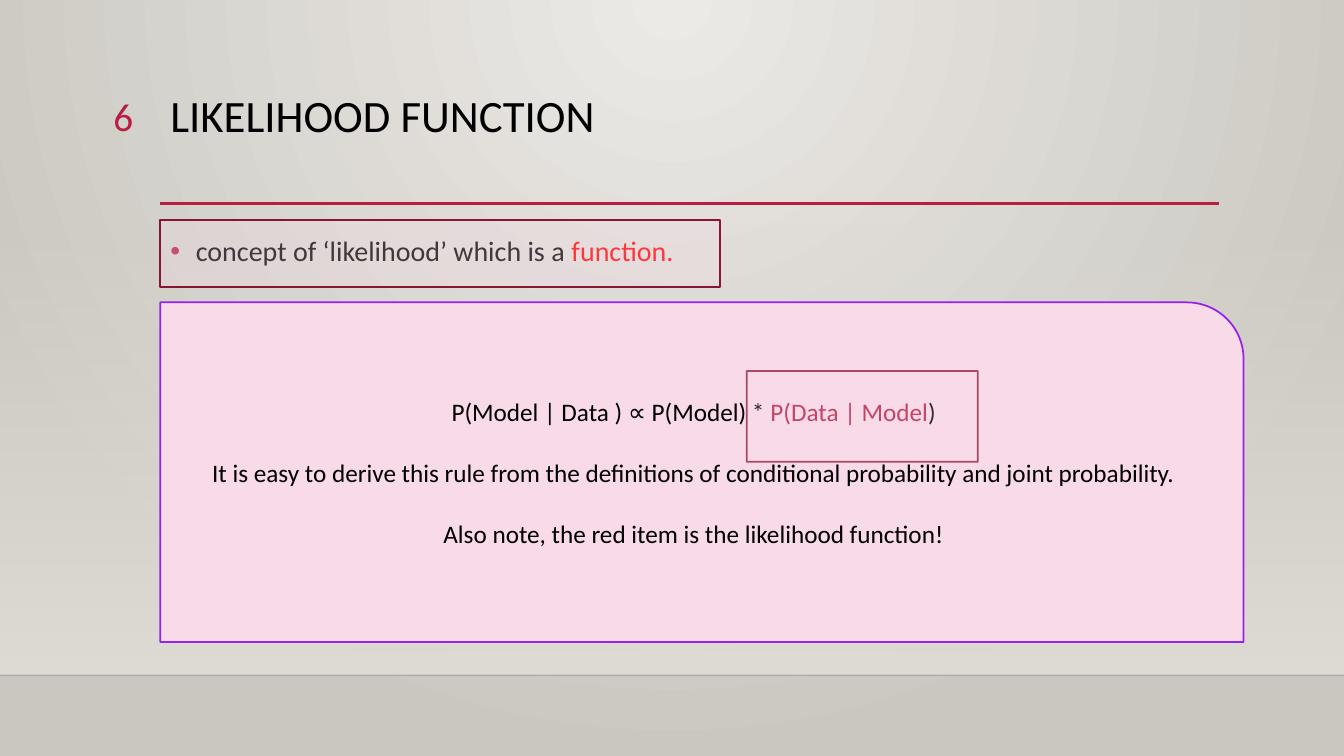
from lxml import etree
from pptx import Presentation
from pptx.dml.color import RGBColor
from pptx.enum.shapes import MSO_CONNECTOR, MSO_SHAPE
from pptx.enum.text import MSO_ANCHOR, MSO_AUTO_SIZE, PP_ALIGN
from pptx.oxml.ns import qn
from pptx.util import Cm, Pt

RECT, ROUND = MSO_SHAPE.RECTANGLE, MSO_SHAPE.ROUND_1_RECTANGLE
TOP, MIDDLE = MSO_ANCHOR.TOP, MSO_ANCHOR.MIDDLE
LEFT, CENTER, RIGHT = PP_ALIGN.LEFT, PP_ALIGN.CENTER, PP_ALIGN.RIGHT

COLORS = {
    "black": "000000", "crimson": "B71E42", "red": "FF0000",
    "pink": "F8DAE8", "wine": "871631", "violet": "9622E7",
    "edge": "000001", "sand": "DFDBD5", "glow": "ECEAE7", "stone": "CAC7C1",
}

TITLE = [[("LIKELIHOOD FUNCTION", "black")]]
NUMBER = [[("6", "crimson")]]
CONCEPT = [[("concept of ‘likelihood’ which is a ", "black"), ("function.", "red")]]
RULE = [
    [("P(Model | Data ) ∝ P(Model) * ", "black"), ("P(Data | Model", "crimson"), (")", "black")],
    [("It is easy to derive this rule from the definitions of conditional "
      "probability and joint probability.", "black")],
    [("Also note, the red item is the likelihood function!", "black")],
]

WIDTH, HEIGHT = 33.87, 19.05
MARGIN, TEXT_WIDTH = 4.04, 26.67
FLOOR = 17.02
BAND_TOP = 5.61


def rgb(name):
    return RGBColor.from_string(COLORS[name])


def set_opacity(color_parent, percent):
    for color in color_parent.iter(qn("a:srgbClr")):
        etree.SubElement(color, qn("a:alpha"), val=str(percent * 1000))


def fill_gradient(fill, names):
    fill.gradient()
    for stop, name in zip(fill.gradient_stops, names):
        stop.color.rgb = rgb(name)


def place(shape, box):
    for side, length in zip(("left", "top", "width", "height"), box):
        setattr(shape, side, Cm(length))


def write(shape, paragraphs, size, anchor=TOP, **formats):
    frame = shape.text_frame
    for key, value in {"word_wrap": True, "auto_size": MSO_AUTO_SIZE.NONE,
                       "vertical_anchor": anchor}.items():
        setattr(frame, key, value)
    for index, spans in enumerate(paragraphs):
        para = frame.add_paragraph() if index else frame.paragraphs[0]
        for key, value in formats.items():
            setattr(para, key, value)
        if index:
            para.space_before = Pt(22)
        for text, color in spans:
            span = para.add_run()
            span.text = text
            span.font.name = "Calibri"
            span.font.size = Pt(size)
            span.font.color.rgb = rgb(color)


def add_line(page, left, right, y, color, width, opacity=100):
    line = page.shapes.add_connector(MSO_CONNECTOR.STRAIGHT, Cm(left), Cm(y), Cm(right), Cm(y))
    line.line.color.rgb = rgb(color)
    line.line.width = Pt(width)
    set_opacity(line.element.spPr, opacity)
    etree.SubElement(line.element.spPr, qn("a:effectLst"))


def add_box(page, kind, box, line, opacity=100, line_opacity=100):
    shape = page.shapes.add_shape(kind, *map(Cm, box))
    shape.shadow.inherit = False
    shape.fill.solid()
    shape.fill.fore_color.rgb = rgb("pink")
    set_opacity(shape.element.spPr, opacity)
    shape.line.color.rgb = rgb(line)
    shape.line.width = Pt(1.25)
    set_opacity(shape.element.spPr.find(qn("a:ln")), line_opacity)
    return shape


def add_background(page):
    fill_gradient(page.background.fill, ("glow", "stone"))
    linear = page.element.xpath("./p:cSld/p:bg//a:lin")[0]
    gradient = linear.getparent()
    gradient.remove(linear)
    circle = etree.SubElement(gradient, qn("a:path"), path="circle")
    etree.SubElement(circle, qn("a:fillToRect"), l="43000", t="0", r="43000", b="100000")

    band = page.shapes.add_shape(RECT, 0, Cm(BAND_TOP), Cm(WIDTH), Cm(FLOOR - BAND_TOP))
    band.shadow.inherit = False
    band.line.fill.background()
    fill_gradient(band.fill, ("sand", "sand"))
    band.fill.gradient_angle = 270
    first = next(band.element.spPr.iter(qn("a:gs")))
    set_opacity(first, 0)
    tree = band.element.getparent()
    tree.remove(band.element)
    tree.insert(2, band.element)


def add_bullet(para):
    properties = para._p.get_or_add_pPr()
    properties.set("marL", str(Cm(0.64)))
    properties.set("indent", str(-Cm(0.64)))
    color = etree.SubElement(properties, qn("a:buClr"))
    etree.SubElement(color, qn("a:srgbClr"), val=COLORS["crimson"])
    etree.SubElement(properties, qn("a:buFont"), typeface="Arial")
    etree.SubElement(properties, qn("a:buChar"), char="•")


def main():
    deck = Presentation()
    deck.slide_width, deck.slide_height = Cm(WIDTH), Cm(HEIGHT)
    page = deck.slides.add_slide(deck.slide_layouts[1])
    title, body = page.placeholders

    add_background(page)
    add_line(page, 0, WIDTH, FLOOR, "edge", 1, 20)
    add_line(page, MARGIN, MARGIN + TEXT_WIDTH, 5.13, "crimson", 2.5)

    place(title, (MARGIN, 2.24, TEXT_WIDTH, 2.92))
    write(title, TITLE, 32, alignment=LEFT, line_spacing=0.9)
    place(body, (MARGIN, 5.59, TEXT_WIDTH, 9.58))
    write(body, CONCEPT, 20, alignment=LEFT, line_spacing=1.2, space_before=Pt(10))
    add_bullet(body.text_frame.paragraphs[0])

    number = page.shapes.add_textbox(*map(Cm, (1.35, 2.21, 2.26, 1.4)))
    write(number, NUMBER, 28, alignment=RIGHT)

    add_box(page, RECT, (MARGIN, 5.54, 14.1, 1.7), "wine", 26)
    panel = add_box(page, ROUND, (MARGIN, 7.62, 27.3, 8.56), "violet")
    write(panel, RULE, 18, MIDDLE, alignment=CENTER)
    add_box(page, RECT, (18.82, 9.35, 5.82, 2.29), "wine", 21, 72)

    deck.save("out.pptx")


if __name__ == "__main__":
    main()
